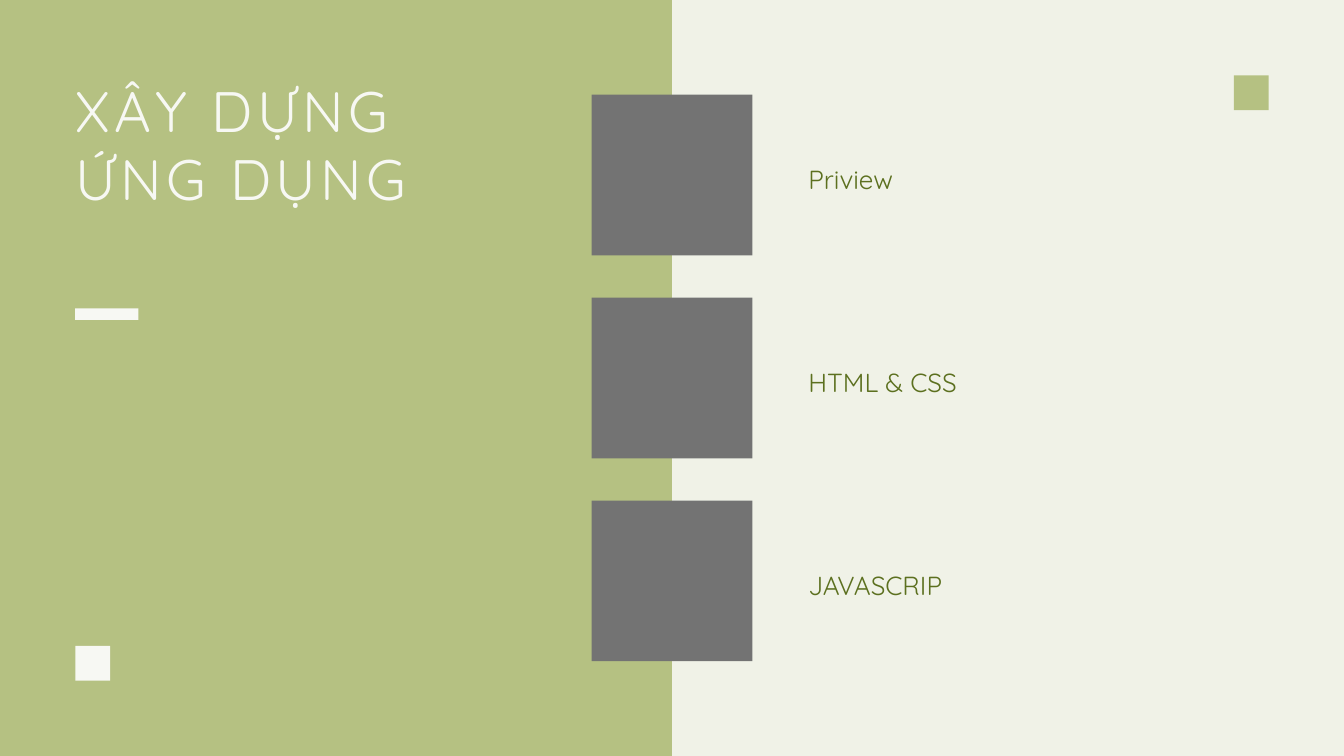
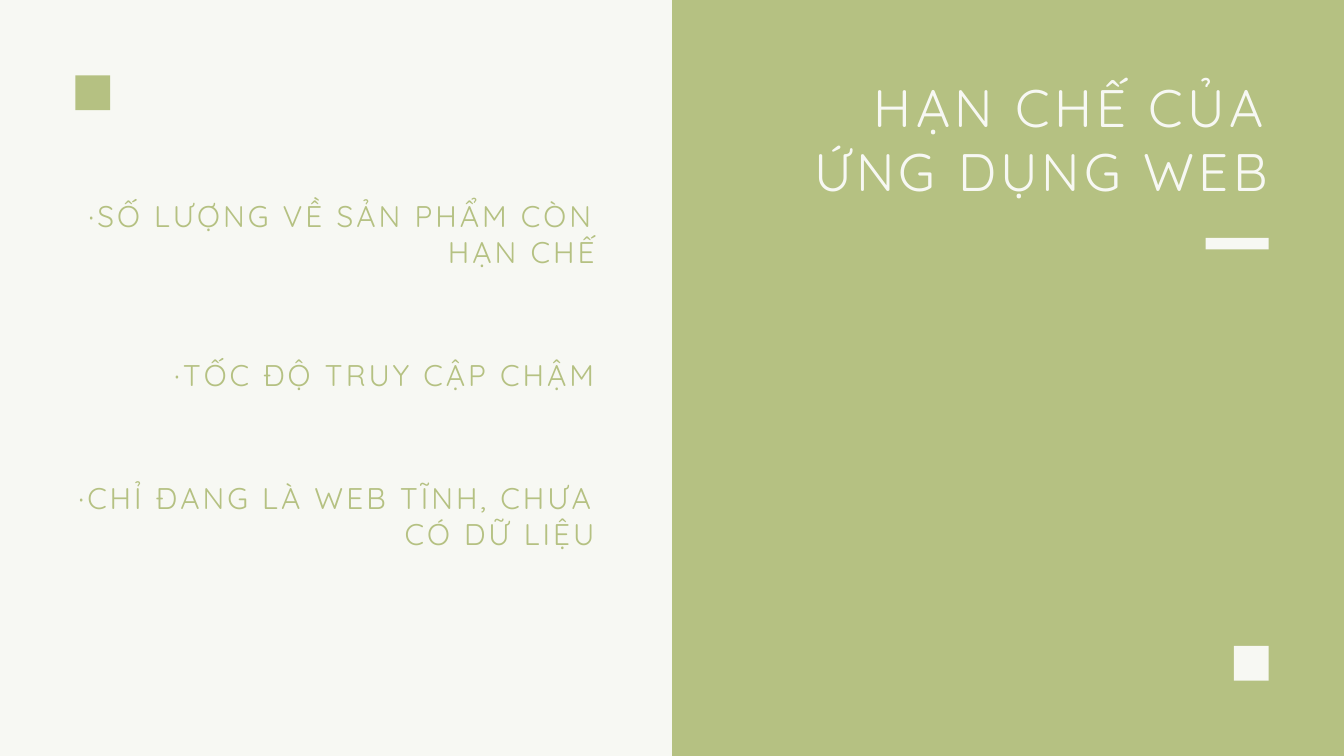
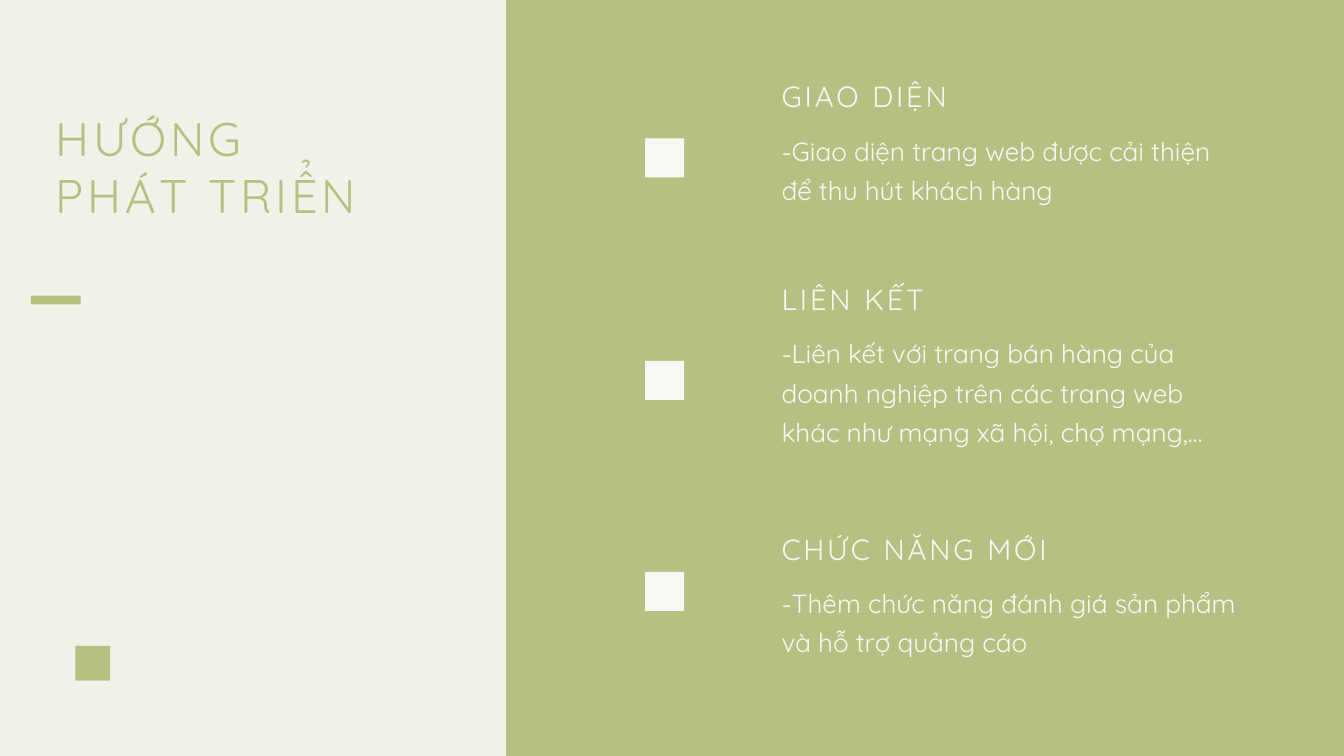
from dataclasses import dataclass, replace

from lxml import etree
from pptx import Presentation
from pptx.dml.color import RGBColor
from pptx.enum.shapes import MSO_SHAPE
from pptx.enum.text import MSO_AUTO_SIZE, PP_ALIGN
from pptx.oxml.ns import qn
from pptx.slide import Slide
from pptx.util import Inches, Pt

RECTANGLE = MSO_SHAPE.RECTANGLE
LEFT, RIGHT = PP_ALIGN.LEFT, PP_ALIGN.RIGHT
GROW = MSO_AUTO_SIZE.SHAPE_TO_FIT_TEXT

# Shared look
SLIDE_W, SLIDE_H = 20, 11.25
SAGE, CREAM, OLIVE, GRAY = "B5C182", "F7F8F3", "5C701F", "737373"
FONT = "Quicksand"
BLEED = 0.21
MARGIN = 1.12
ACCENT = 0.52
ACCENT_RIGHT = SLIDE_W - MARGIN - ACCENT
ACCENT_BOTTOM = SLIDE_H - MARGIN - ACCENT
FRAME_FORMAT = {
    "margin_left": 0, "margin_right": 0, "margin_top": 0, "margin_bottom": 0,
    "word_wrap": True, "auto_size": GROW,
}


@dataclass(frozen=True)
class Box:
    left: float
    top: float
    width: float
    height: float

    def lengths(self) -> list[int]:
        return [Inches(v) for v in (self.left, self.top, self.width, self.height)]


@dataclass(frozen=True)
class TextStyle:
    size: float
    leading: float
    color: str
    tracking: float = 0
    align: PP_ALIGN = LEFT


@dataclass(frozen=True)
class Topic:
    heading: str
    detail: str
    top: float
    detail_height: float
    marker_top: float


TITLE = TextStyle(61, 73.2, CREAM, 4.9)
LIMIT_TITLE = replace(TITLE, size=56.5, leading=67.8, tracking=4.5, align=RIGHT)
PLAN_TITLE = replace(TITLE, size=50.5, leading=60.5, tracking=4, color=SAGE)
STEP_LABEL = TextStyle(28, 42, OLIVE)
LIMIT = TextStyle(32, 38.4, SAGE, 3.2, RIGHT)
TOPIC_HEADING = TextStyle(31.2, 37.5, CREAM, 3.1)
TOPIC_DETAIL = TextStyle(28.1, 42.1, CREAM)


def rgb(color: str) -> RGBColor:
    return RGBColor.from_string(color)


def add_block(slide: Slide, box: Box, color: str, opacity: int = 100) -> None:
    block = slide.shapes.add_shape(RECTANGLE, *box.lengths())
    block.shadow.inherit = False
    block.line.fill.background()
    block.fill.solid()
    block.fill.fore_color.rgb = rgb(color)
    if opacity < 100:
        tint = block.fill._xPr.find(".//" + qn("a:srgbClr"))
        etree.SubElement(tint, qn("a:alpha")).set("val", str(opacity * 1000))


def add_square(slide: Slide, left: float, top: float, size: float, color: str) -> None:
    add_block(slide, Box(left, top, size, size), color)


def add_panel(slide: Slide, left: float, right: float, color: str,
              opacity: int = 100) -> None:
    box = Box(left, -BLEED, right - left, SLIDE_H + 2 * BLEED)
    add_block(slide, box, color, opacity)


def add_text(slide: Slide, box: Box, style: TextStyle, *lines: str) -> None:
    frame = slide.shapes.add_textbox(*box.lengths()).text_frame
    for attribute, value in FRAME_FORMAT.items():
        setattr(frame, attribute, value)
    font_format = {"name": FONT, "size": Pt(style.size)}
    for index, line in enumerate(lines):
        paragraph = frame.add_paragraph() if index else frame.paragraphs[0]
        paragraph.alignment = style.align
        paragraph.line_spacing = Pt(style.leading)
        run = paragraph.add_run()
        run.text = line
        for attribute, value in font_format.items():
            setattr(run.font, attribute, value)
        run.font.color.rgb = rgb(style.color)
        if style.tracking:
            run._r.get_or_add_rPr().set("spc", str(round(style.tracking * 100)))


def new_slide(deck: Presentation, background: str) -> Slide:
    slide = deck.slides.add_slide(deck.slide_layouts[6])
    slide.background.fill.solid()
    slide.background.fill.fore_color.rgb = rgb(background)
    return slide


def build_application(deck: Presentation) -> None:
    slide = new_slide(deck, SAGE)
    add_panel(slide, SLIDE_W / 2, SLIDE_W + BLEED, CREAM, 90)
    add_square(slide, ACCENT_RIGHT, MARGIN, ACCENT, SAGE)

    # Steps straddling the panel edge
    tile, first_top, pitch = 2.39, 1.41, 3.02
    for index, step in enumerate(("Priview", "HTML & CSS", "JAVASCRIP")):
        top = first_top + index * pitch
        add_square(slide, (SLIDE_W - tile) / 2, top, tile, GRAY)
        add_text(slide, Box(12.03, top + 0.9, 4.9, 0.52), STEP_LABEL, step)

    # Title side
    add_text(slide, Box(MARGIN, MARGIN, 6.64, 2.03), TITLE, "XÂY DỰNG ỨNG DỤNG")
    add_block(slide, Box(MARGIN, 4.59, 0.94, 0.17), CREAM)
    add_square(slide, MARGIN, ACCENT_BOTTOM, ACCENT, CREAM)


def build_limits(deck: Presentation) -> None:
    slide = new_slide(deck, CREAM)
    add_panel(slide, SLIDE_W / 2, SLIDE_W + BLEED, SAGE)
    add_text(slide, Box(11.11, MARGIN, 7.76, 1.88), LIMIT_TITLE,
             "HẠN CHẾ CỦA ỨNG DỤNG WEB")
    add_block(slide, Box(17.94, 3.54, 0.94, 0.17), CREAM)

    # Limits, separated by equal gaps
    limits = (
        ("·SỐ LƯỢNG VỀ SẢN PHẨM CÒN HẠN CHẾ", 1.05),
        ("·TỐC ĐỘ TRUY CẬP CHẬM", 0.53),
        ("·CHỈ ĐANG LÀ WEB TĨNH, CHƯA CÓ DỮ LIỆU", 1.05),
    )
    top, gap = 2.94, 1.31
    for limit, height in limits:
        add_text(slide, Box(MARGIN, top, 7.73, height), LIMIT, limit)
        top += height + gap

    add_square(slide, MARGIN, MARGIN, ACCENT, SAGE)
    add_square(slide, ACCENT_RIGHT, ACCENT_BOTTOM, ACCENT, CREAM)


def build_plan(deck: Presentation) -> None:
    slide = new_slide(deck, SAGE)
    add_panel(slide, -BLEED, 7.53, CREAM, 90)
    add_text(slide, Box(0.83, 1.63, 7.24, 1.69), PLAN_TITLE, "HƯỚNG", "PHÁT TRIỂN")
    add_block(slide, Box(0.46, 4.4, 0.74, 0.13), SAGE)
    add_square(slide, MARGIN, ACCENT_BOTTOM, ACCENT, SAGE)

    # Topics with their markers
    topics = (
        Topic("GIAO DIỆN",
              "-Giao diện trang web được cải thiện để thu hút khách hàng",
              1.17, 1.68, 2.06),
        Topic("LIÊN KẾT",
              "-Liên kết với trang bán hàng của doanh nghiệp trên các trang web "
              "khác như mạng xã hội, chợ mạng,…",
              4.19, 2.26, 5.37),
        Topic("CHỨC NĂNG MỚI",
              "-Thêm chức năng đánh giá sản phẩm và hỗ trợ quảng cáo",
              7.9, 1.11, 8.51),
    )
    left, width = 11.63, 6.79
    for topic in topics:
        add_square(slide, 9.6, topic.marker_top, 0.58, CREAM)
        add_text(slide, Box(left, topic.top, width, 0.52), TOPIC_HEADING, topic.heading)
        add_text(slide, Box(left, topic.top + 0.72, width, topic.detail_height),
                 TOPIC_DETAIL, topic.detail)


def main() -> None:
    deck = Presentation()
    deck.slide_width, deck.slide_height = Inches(SLIDE_W), Inches(SLIDE_H)
    build_application(deck)
    build_limits(deck)
    build_plan(deck)
    deck.save("out.pptx")


if __name__ == "__main__":
    main()
